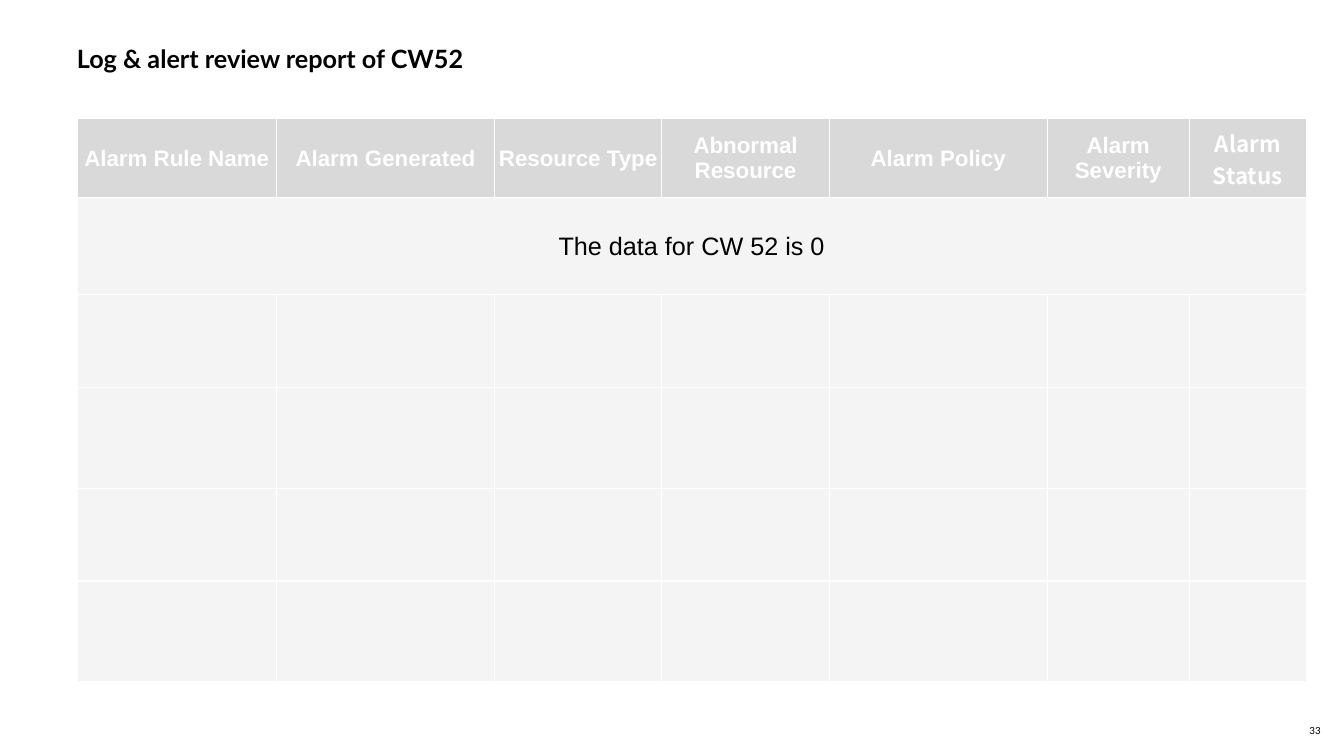
from lxml import etree
from pptx import Presentation
from pptx.dml.color import RGBColor
from pptx.enum.text import MSO_ANCHOR, PP_ALIGN
from pptx.oxml.ns import qn
from pptx.util import Cm, Pt

LEFT, CENTER = PP_ALIGN.LEFT, PP_ALIGN.CENTER
TOP, MIDDLE = MSO_ANCHOR.TOP, MSO_ANCHOR.MIDDLE

WHITE, BLACK = "FFFFFF", "000000"
HEADER_FILL, BODY_FILL = "D9D9D9", "F4F4F4"
BORDER_SIDES = ("a:lnL", "a:lnR", "a:lnT", "a:lnB")

HEADINGS = ["Alarm Rule Name", "Alarm Generated", "Resource Type",
            "Abnormal Resource", "Alarm Policy", "Alarm Severity",
            "Alarm Status"]
COLUMN_WIDTHS = [5.03, 5.49, 4.22, 4.22, 5.49, 3.58, 2.95]
ROW_HEIGHTS = [2, 2.44, 2.34, 2.54, 2.34, 2.54]


def color(hex_value):
    return RGBColor.from_string(hex_value)


def write(frame, text, font="Arial", size=18, fill=BLACK, bold=False,
          align=LEFT, spacing=1.0):
    paragraph = frame.paragraphs[0]
    paragraph.alignment = align
    paragraph.line_spacing = spacing
    run = paragraph.add_run()
    run.text = text
    run.font.name = font
    run.font.size = Pt(size)
    run.font.bold = bold
    run.font.color.rgb = color(fill)


class SlideBuilder:
    def __init__(self, slide, font):
        self.slide = slide
        self.font = font

    def text(self, content, left, top, width, height, anchor=TOP, **style):
        box = self.slide.shapes.add_textbox(
            Cm(left), Cm(top), Cm(width), Cm(height))
        frame = box.text_frame
        frame.word_wrap = True
        frame.vertical_anchor = anchor
        frame.margin_left = frame.margin_right = 0
        frame.margin_top = frame.margin_bottom = 0
        write(frame, content, font=self.font, **style)

    def table(self, left, top, widths, heights):
        table = self.slide.shapes.add_table(
            len(heights), len(widths), Cm(left), Cm(top),
            Cm(sum(widths)), Cm(sum(heights))).table
        for column, width in zip(table.columns, widths):
            column.width = Cm(width)
        for row, height in zip(table.rows, heights):
            row.height = Cm(height)
        for number, row in enumerate(table.rows):
            for cell in row.cells:
                self.style_cell(cell, BODY_FILL if number else HEADER_FILL)
        return table

    def style_cell(self, cell, fill):
        cell.vertical_anchor = MIDDLE
        cell.margin_left = cell.margin_right = cell.margin_top = Cm(0.03)
        cell.margin_bottom = 0
        cell.fill.solid()
        cell.fill.fore_color.rgb = color(fill)
        # Borders come before the fill in the cell properties
        properties = cell.fill._xPr
        for position, side in enumerate(BORDER_SIDES):
            line = etree.Element(qn(side), w=str(Pt(1)))
            solid = etree.SubElement(line, qn("a:solidFill"))
            etree.SubElement(solid, qn("a:srgbClr"), val=WHITE)
            properties.insert(position, line)


def main():
    presentation = Presentation()
    presentation.slide_width = Cm(33.87)
    presentation.slide_height = Cm(19.05)
    slide = presentation.slides.add_slide(presentation.slide_layouts[6])
    builder = SlideBuilder(slide, "Lato")

    # Page number and title
    builder.text("33", 33, 18.19, 0.87, 0.43, anchor=MIDDLE, size=7)
    builder.text("Log & alert review report of CW52", 1.94, 1.02, 31.5, 1.7,
                 size=18, bold=True, spacing=1.1)

    # Alarm table
    alarms = builder.table(1.94, 2.98, COLUMN_WIDTHS, ROW_HEIGHTS)
    for column, heading in enumerate(HEADINGS):
        font = "Noto Sans CJK SC" if heading == "Alarm Status" else "Arial"
        write(alarms.cell(0, column).text_frame, heading, font=font, size=16,
              fill=WHITE, bold=True, align=CENTER)

    # Weekly result across all columns
    result = alarms.cell(1, 0)
    result.merge(alarms.cell(1, len(HEADINGS) - 1))
    write(result.text_frame, "The data for CW 52 is 0", align=CENTER)

    presentation.save("out.pptx")


if __name__ == "__main__":
    main()
